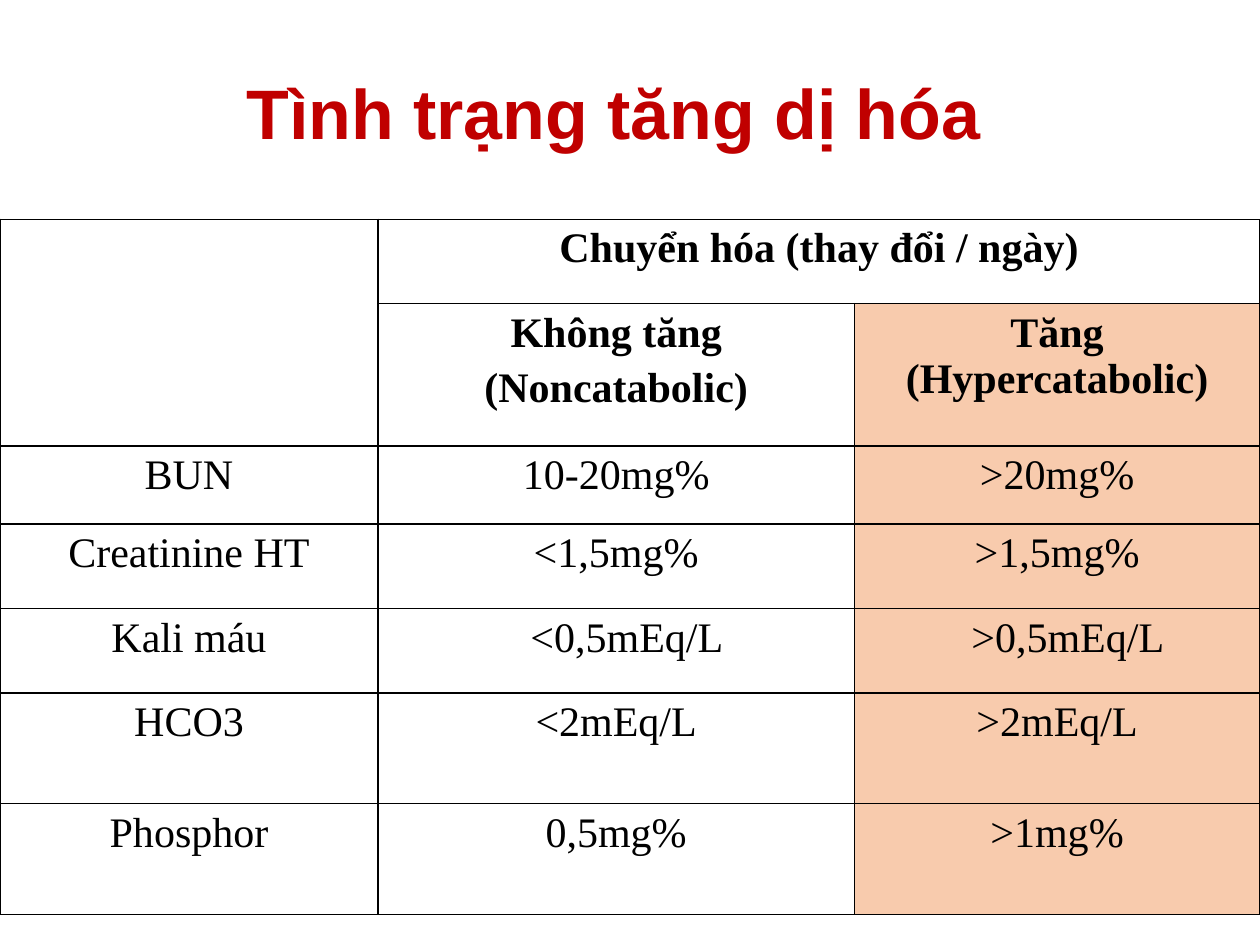
"""Build the hypercatabolic state slide."""
import dataclasses

import lxml.etree
import pptx
import pptx.dml.color
import pptx.enum.text
import pptx.oxml.ns
import pptx.util

Inches = pptx.util.Inches
Pt = pptx.util.Pt


@dataclasses.dataclass(frozen=True)
class Theme:
    """Colours, fonts and type sizes of the slide."""
    title_color: str = "C00000"
    text_color: str = "000000"
    border_color: str = "000000"
    plain_fill: str = "FFFFFF"
    highlight_fill: str = "F8CBAD"
    title_font: str = "Arial"
    table_font: str = "Times New Roman"
    title_size: int = 40
    table_size: int = 24
    paragraph_gap: float = 4.8
    border_width: int = 1


THEME = Theme()
COLUMN_WIDTHS = (3, 3.78, 3.22)
ROW_HEIGHTS = (0.67, 1.13, 0.62, 0.67, 0.67, 0.88, 0.88)
HEADER_ROWS = 2
HIGHLIGHT_COLUMN = 2
INDENTED_CELLS = {(4, 1), (4, 2)}
INDENT = 0.17
TABLE_ROWS = (
    ("", "Chuyển hóa (thay đổi / ngày)", ""),
    ("", "Không tăng\n(Noncatabolic)", "Tăng (Hypercatabolic)"),
    ("BUN", "10-20mg%", ">20mg%"),
    ("Creatinine HT", "<1,5mg%", ">1,5mg%"),
    ("Kali máu", "<0,5mEq/L", ">0,5mEq/L"),
    ("HCO3", "<2mEq/L", ">2mEq/L"),
    ("Phosphor", "0,5mg%", ">1mg%"),
)


def rgb(color):
    """Turn a hex string into a colour."""
    return pptx.dml.color.RGBColor.from_string(color)


def format_text(text_frame, font_name, size, color, bold):
    """Centre the paragraphs and style their runs."""
    for index, paragraph in enumerate(text_frame.paragraphs):
        paragraph.alignment = pptx.enum.text.PP_ALIGN.CENTER
        if index:
            paragraph.space_before = Pt(THEME.paragraph_gap)
        for run in paragraph.runs:
            run.font.name = font_name
            run.font.size = Pt(size)
            run.font.bold = bold
            run.font.color.rgb = rgb(color)


def add_title(slide, text):
    """Add the centred slide title."""
    shape = slide.shapes.add_textbox(Inches(0.56), Inches(0.2), Inches(8.62), Inches(1.45))
    text_frame = shape.text_frame
    text_frame.word_wrap = True
    text_frame.vertical_anchor = pptx.enum.text.MSO_ANCHOR.MIDDLE
    text_frame.text = text
    text_frame.paragraphs[0].line_spacing = 0.9
    format_text(text_frame, THEME.title_font, THEME.title_size, THEME.title_color, True)


def set_borders(cell):
    """Draw a solid line on the four sides of a cell."""
    qn = pptx.oxml.ns.qn
    properties = cell._tc.get_or_add_tcPr()
    for side in ("a:lnL", "a:lnR", "a:lnT", "a:lnB"):
        line = lxml.etree.SubElement(properties, qn(side), w=str(Pt(THEME.border_width)))
        fill = lxml.etree.SubElement(line, qn("a:solidFill"))
        lxml.etree.SubElement(fill, qn("a:srgbClr"), val=THEME.border_color)


def format_cell(cell, fill_color):
    """Give a cell its borders and fill."""
    set_borders(cell)
    cell.fill.solid()
    cell.fill.fore_color.rgb = rgb(fill_color)


def add_metabolism_table(slide):
    """Add the table comparing daily changes."""
    shape = slide.shapes.add_table(
        len(ROW_HEIGHTS), len(COLUMN_WIDTHS), Inches(0), Inches(1.74),
        Inches(sum(COLUMN_WIDTHS)), Inches(sum(ROW_HEIGHTS)))
    table = shape.table
    for column, width in zip(table.columns, COLUMN_WIDTHS):
        column.width = Inches(width)
    for row, height in zip(table.rows, ROW_HEIGHTS):
        row.height = Inches(height)
    table.cell(0, 0).merge(table.cell(1, 0))
    table.cell(0, 1).merge(table.cell(0, 2))
    for row_index, texts in enumerate(TABLE_ROWS):
        for column_index, text in enumerate(texts):
            cell = table.cell(row_index, column_index)
            highlighted = row_index > 0 and column_index == HIGHLIGHT_COLUMN
            format_cell(cell, THEME.highlight_fill if highlighted else THEME.plain_fill)
            if (row_index, column_index) in INDENTED_CELLS:
                cell.margin_left = Inches(0.1 + INDENT)
            if text:
                cell.text_frame.text = text
                format_text(cell.text_frame, THEME.table_font, THEME.table_size,
                            THEME.text_color, row_index < HEADER_ROWS)


def main():
    """Build and save the presentation."""
    presentation = pptx.Presentation()
    presentation.slide_width = Inches(10)
    presentation.slide_height = Inches(7.5)
    slide = presentation.slides.add_slide(presentation.slide_layouts[6])
    add_title(slide, "Tình trạng tăng dị hóa")
    add_metabolism_table(slide)
    presentation.save("out.pptx")


if __name__ == "__main__":
    main()
